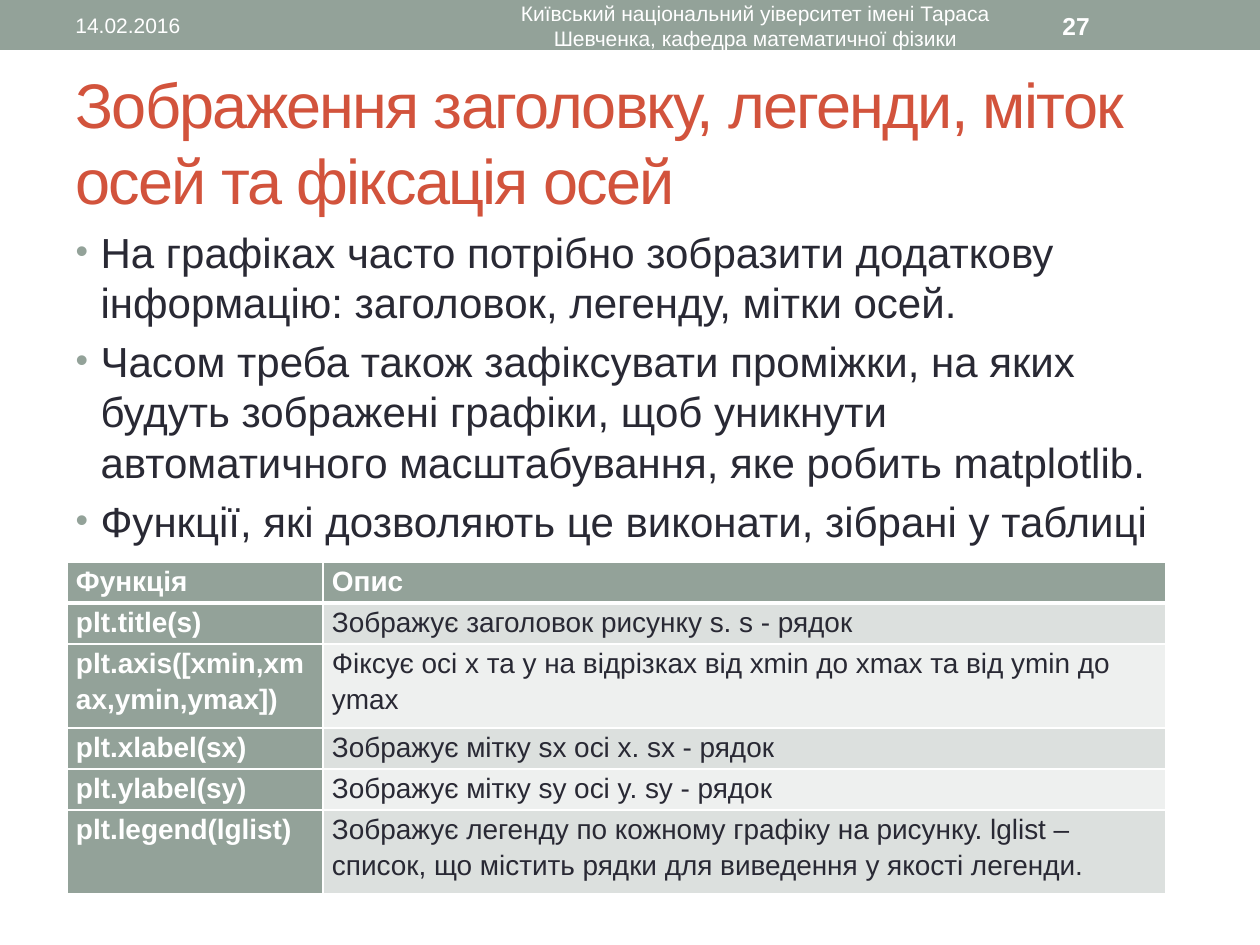
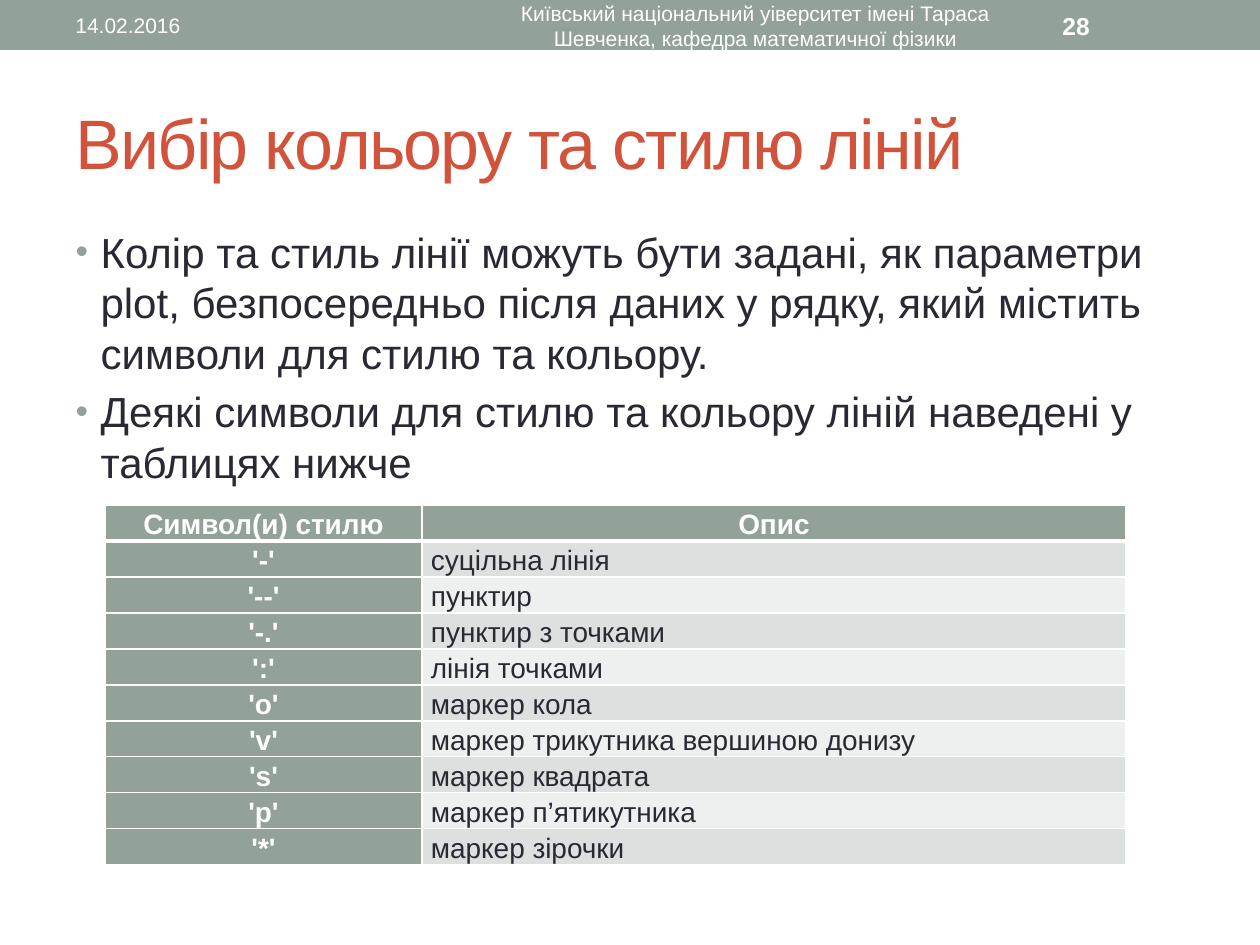
from lxml import etree
from pptx import Presentation
from pptx.dml.color import RGBColor
from pptx.enum.shapes import MSO_SHAPE
from pptx.enum.text import MSO_ANCHOR, MSO_AUTO_SIZE, PP_ALIGN
from pptx.oxml.ns import qn
from pptx.util import Emu, Pt

PX_PER_INCH = 126
RECT = MSO_SHAPE.RECTANGLE
MIDDLE, TOP = MSO_ANCHOR.MIDDLE, MSO_ANCHOR.TOP
NO_FIT = MSO_AUTO_SIZE.NONE
LEFT, CENTER = PP_ALIGN.LEFT, PP_ALIGN.CENTER

FONT = "Arial"
SAGE = RGBColor(0x93, 0xA2, 0x99)
RED = RGBColor(0xD2, 0x53, 0x3C)
INK = RGBColor(0x29, 0x29, 0x34)
WHITE = RGBColor(0xFF, 0xFF, 0xFF)
ROW_FILLS = (RGBColor(0xEE, 0xF0, 0xEF), RGBColor(0xDC, 0xE0, 0xDE))

DATE = "14.02.2016"
FOOTER = ("Київський національний уіверситет імені Тараса Шевченка, "
          "кафедра математичної фізики")

FUNCTIONS = [
    ("Функція", "Опис"),
    ("plt.title(s)", "Зображує заголовок рисунку s. s - рядок"),
    ("plt.axis([xmin,xmax,ymin,ymax])",
     "Фіксує осі x та y на відрізках від xmin до xmax та від ymin до ymax"),
    ("plt.xlabel(sx)", "Зображує мітку sx осі x. sx - рядок"),
    ("plt.ylabel(sy)", "Зображує мітку sy осі y. sy - рядок"),
    ("plt.legend(lglist)",
     "Зображує легенду по кожному графіку на рисунку. lglist – список, "
     "що містить рядки для виведення у якості легенди."),
]
LINE_STYLES = [
    ("Символ(и) стилю", "Опис"),
    ("'-'", "суцільна лінія"),
    ("'--'", "пунктир"),
    ("'-.'", "пунктир з точками"),
    ("':'", "лінія точками"),
    ("'o'", "маркер кола"),
    ("'v'", "маркер трикутника вершиною донизу"),
    ("'s'", "маркер квадрата"),
    ("'p'", "маркер п’ятикутника"),
    ("'*'", "маркер зірочки"),
]


def px(n):
    """Convert whole pixels to EMU."""
    return Emu(round(n * 914400 / PX_PER_INCH))


def add_run(p, text, size, color, bold=False):
    """Append one formatted run to a paragraph."""
    r = p.add_run()
    r.text = text
    r.font.name = FONT
    r.font.size = Pt(size)
    r.font.bold = bold
    r.font.color.rgb = color
    return r


def place(sp, left, top, width, height):
    """Move and size a shape."""
    sp.left, sp.top, sp.width, sp.height = map(px, (left, top, width, height))


def prepare_frame(sp, anchor):
    """Return a wrapping text frame of fixed size."""
    tf = sp.text_frame
    tf.word_wrap = True
    tf.auto_size = NO_FIT
    tf.vertical_anchor = anchor
    return tf


def add_label(slide, text, left, width, size=12, align=LEFT, bold=False):
    """Add one white text box to the top band."""
    sp = slide.shapes.add_textbox(px(left), px(3), px(width), px(45))
    p = prepare_frame(sp, MIDDLE).paragraphs[0]
    p.alignment = align
    add_run(p, text, size, WHITE, bold)


def add_band(slide, number):
    """Draw the top band with date, department and slide number."""
    sp = slide.shapes.add_shape(RECT, 0, 0, px(1260), px(50))
    sp.shadow.inherit = False
    sp.fill.solid()
    sp.fill.fore_color.rgb = SAGE
    sp.line.fill.background()
    add_label(slide, DATE, 63, 399)
    add_label(slide, FOOTER, 472, 567, align=CENTER)
    add_label(slide, str(number), 1050, 147, size=14, bold=True)


def set_title(slide, text, size):
    """Fill the title placeholder."""
    sp = slide.shapes.title
    place(sp, 63, 73, 1134, 136)
    p = prepare_frame(sp, MIDDLE).paragraphs[0]
    p.alignment = LEFT
    r = add_run(p, text, size, RED)
    r.font._element.set("spc", "-100")


def set_bullet(p):
    """Give a paragraph a hanging sage bullet."""
    pPr = p._p.get_or_add_pPr()
    pPr.set("marL", str(px(25)))
    pPr.set("indent", str(-px(25)))
    color = etree.SubElement(pPr, qn("a:buClr"))
    etree.SubElement(color, qn("a:srgbClr"), val=str(SAGE))
    etree.SubElement(pPr, qn("a:buSzPct"), val="85000")
    etree.SubElement(pPr, qn("a:buFont"), typeface=FONT)
    etree.SubElement(pPr, qn("a:buChar"), char="•")


def set_bullets(slide, items):
    """Fill the body placeholder with a bulleted list."""
    sp = slide.placeholders[1]
    place(sp, 63, 220, 1134, 672)
    tf = prepare_frame(sp, TOP)
    for i, text in enumerate(items):
        p = tf.add_paragraph() if i else tf.paragraphs[0]
        set_bullet(p)
        p.space_before = Pt(4.8 if i else 0)
        add_run(p, text, 24, INK)


def set_borders(cell, **widths):
    """Draw white cell borders, with widths in points by side."""
    tcPr = cell._tc.get_or_add_tcPr()
    for i, side in enumerate("LRTB"):
        ln = etree.Element(qn("a:ln" + side), w=str(Pt(widths.get(side, 1))))
        fill = etree.SubElement(ln, qn("a:solidFill"))
        etree.SubElement(fill, qn("a:srgbClr"), val=str(WHITE))
        tcPr.insert(i, ln)


def add_grid(slide, rows, left, top, widths, heights, key_align=LEFT):
    """Add a table with a sage header row and key column."""
    frame = slide.shapes.add_table(len(rows), len(widths), px(left), px(top),
                                   px(sum(widths)), px(sum(heights)))
    table = frame.table
    for column, width in zip(table.columns, widths):
        column.width = px(width)
    for i, (row, height) in enumerate(zip(rows, heights)):
        table.rows[i].height = px(height)
        for j, text in enumerate(row):
            is_key = i == 0 or j == 0
            cell = table.cell(i, j)
            cell.margin_left = cell.margin_right = px(9)
            cell.margin_top = cell.margin_bottom = 0
            cell.fill.solid()
            cell.fill.fore_color.rgb = SAGE if is_key else ROW_FILLS[i % 2]
            set_borders(cell, T=3 if i == 1 else 1, B=3 if i == 0 else 1)
            p = cell.text_frame.paragraphs[0]
            p.alignment = key_align if is_key else LEFT
            p.line_spacing = 1.15
            add_run(p, text, 16, WHITE if is_key else INK, is_key)


def add_content_slide(prs, number, title, title_size, bullets):
    """Add a slide with band, title and bullets."""
    slide = prs.slides.add_slide(prs.slide_layouts[1])
    add_band(slide, number)
    set_title(slide, title, title_size)
    set_bullets(slide, bullets)
    return slide


def main():
    """Build both slides and save them."""
    prs = Presentation()
    prs.slide_width, prs.slide_height = px(1260), px(945)

    slide = add_content_slide(
        prs, 27, "Зображення заголовку, легенди, міток осей та фіксація осей", 36,
        ["На графіках часто потрібно зобразити додаткову інформацію: "
         "заголовок, легенду, мітки осей.",
         "Часом треба також зафіксувати проміжки, на яких будуть зображені "
         "графіки, щоб уникнути автоматичного масштабування, яке робить "
         "matplotlib.",
         "Функції, які дозволяють це виконати, зібрані у таблиці"])
    add_grid(slide, FUNCTIONS, 67, 562, (256, 843), (41, 41, 84, 41, 41, 84))

    slide = add_content_slide(
        prs, 28, "Вибір кольору та стилю ліній", 40,
        ["Колір та стиль лінії можуть бути задані, як параметри plot, "
         "безпосередньо після даних у рядку, який містить символи для стилю "
         "та кольору.",
         "Деякі символи для стилю та кольору ліній наведені у таблицях нижче"])
    add_grid(slide, LINE_STYLES, 105, 505, (317, 704), [36] * len(LINE_STYLES),
             CENTER)

    prs.save("out.pptx")


if __name__ == "__main__":
    main()
